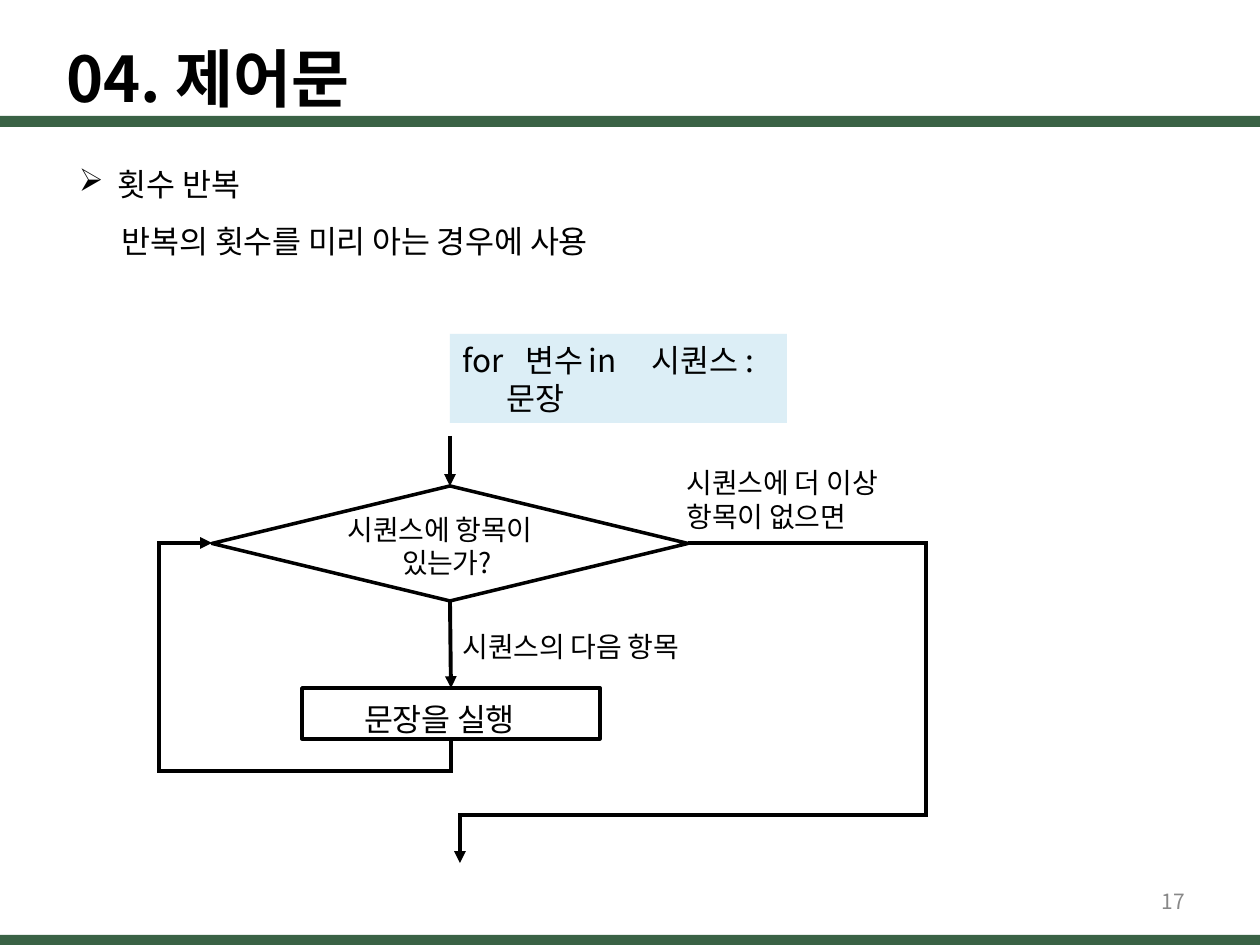
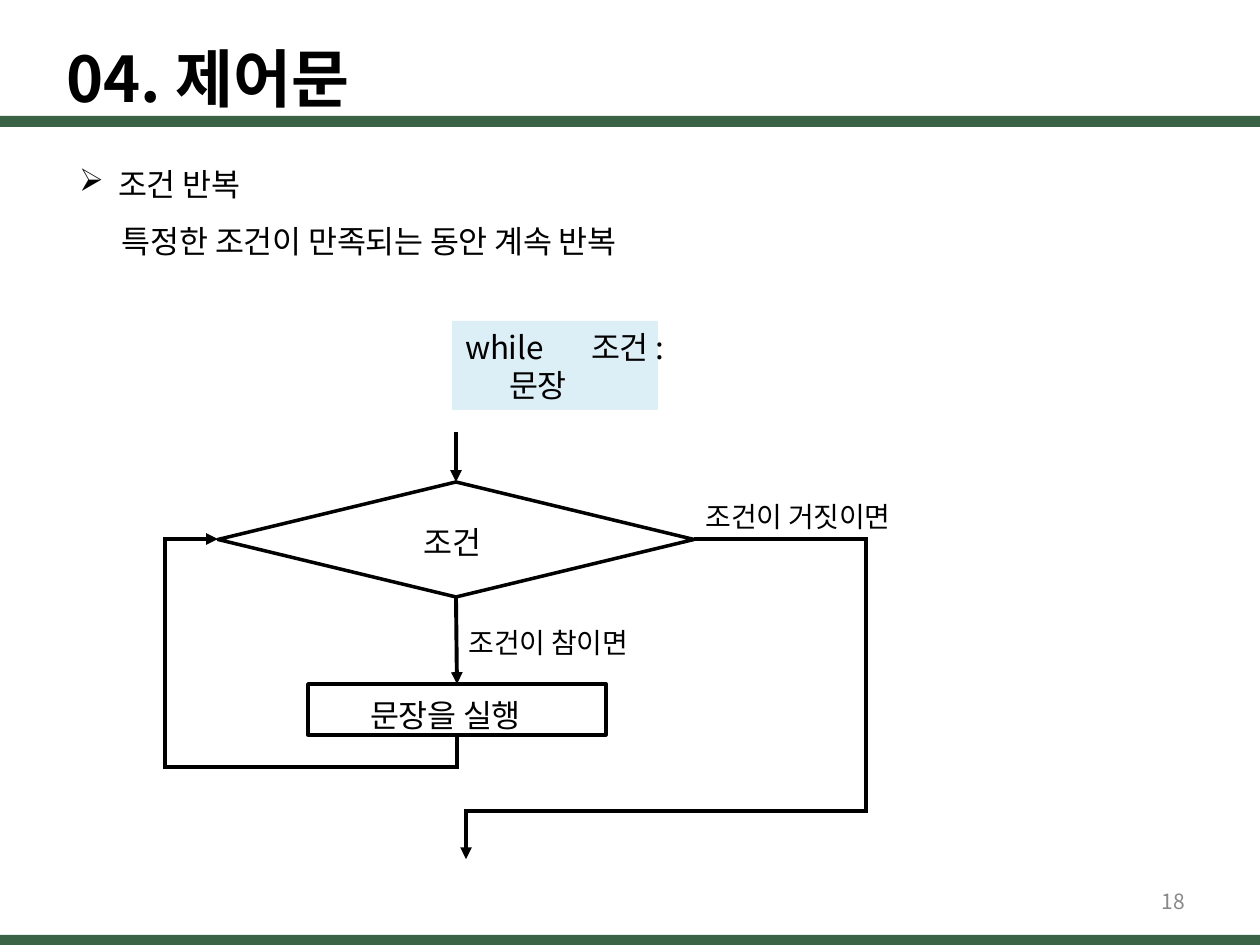
import pptx
import pptx.dml.color
import pptx.enum.shapes
import pptx.enum.text
import pptx.oxml.ns
import pptx.util
from lxml import etree

FONT = "Noto Sans CJK KR"
BLACK, GREEN, PALE_BLUE, GRAY = "000000", "3A6245", "DCEEF6", "888888"
SCALE = 914400 / 126
SLIDE_WIDTH, SLIDE_HEIGHT = 1260, 945
RECTANGLE = pptx.enum.shapes.MSO_SHAPE.RECTANGLE
DIAMOND = pptx.enum.shapes.MSO_SHAPE.DIAMOND


def px(length):
    """Turn px into EMU."""
    return pptx.util.Emu(round(length * SCALE))


def color(value):
    """Turn a hex string into a colour."""
    return pptx.dml.color.RGBColor.from_string(value)


def child(parent, tag, **attributes):
    """Append a drawing element with attributes to a parent."""
    element = etree.SubElement(parent, pptx.oxml.ns.qn(tag))
    for name, value in attributes.items():
        element.set(name, str(value))
    return element


def write(shape, lines, size, fill=BLACK, bold=False, inset=(0, 4)):
    """Write left-aligned lines from the top of a shape and return its paragraphs."""
    frame = shape.text_frame
    frame.word_wrap = True
    frame.auto_size = pptx.enum.text.MSO_AUTO_SIZE.NONE
    frame.vertical_anchor = pptx.enum.text.MSO_ANCHOR.TOP
    frame.margin_left, frame.margin_top = px(inset[0]), px(inset[1])
    frame.margin_right = frame.margin_bottom = 0
    frame.text = "\n".join(lines)
    for paragraph in frame.paragraphs:
        paragraph.alignment = pptx.enum.text.PP_ALIGN.LEFT
        paragraph.line_spacing = pptx.util.Pt(size * 1.2)
        paragraph.space_before = pptx.util.Pt(0)
        paragraph.font.name = FONT
        paragraph.font.size = pptx.util.Pt(size)
        paragraph.font.bold = bold
        paragraph.font.color.rgb = color(fill)
        child(paragraph._p.pPr.get_or_add_defRPr(), "a:ea", typeface=FONT)
        for run in paragraph.runs:
            run._r.get_or_add_rPr().set("spc", "-10")
    return frame.paragraphs


def indent(paragraph, left, first=0, bullet=None, tabs=()):
    """Set the indents, bullet and tab stops of a paragraph."""
    properties = paragraph._p.pPr
    properties.set("marL", str(px(left)))
    properties.set("indent", str(px(first)))
    font = properties.get_or_add_defRPr()
    if bullet:
        font.addprevious(child(properties, "a:buChar", char=bullet))
    if tabs:
        stops = child(properties, "a:tabLst")
        for tab in tabs:
            child(stops, "a:tab", pos=px(tab), algn="l")
        font.addprevious(stops)


def add_text(slide, box, lines, size, **options):
    """Add a text box and return its paragraphs."""
    shape = slide.shapes.add_textbox(*map(px, box))
    return write(shape, lines, size, **options)


def add_block(slide, kind, box, fill=None):
    """Add a filled shape, or an outlined one when no fill is given."""
    shape = slide.shapes.add_shape(kind, *map(px, box))
    shape.shadow.inherit = False
    if fill:
        shape.fill.solid()
        shape.fill.fore_color.rgb = color(fill)
        shape.line.fill.background()
    else:
        shape.fill.background()
        shape.line.color.rgb = color(BLACK)
        shape.line.width = pptx.util.Pt(2)
    return shape


def add_arrow(slide, points):
    """Add a straight connector or a bent path that ends in an arrowhead."""
    points = [(px(x), px(y)) for x, y in points]
    if len(points) == 2:
        arrow = slide.shapes.add_connector(
            pptx.enum.shapes.MSO_CONNECTOR.STRAIGHT, *points[0], *points[1])
    else:
        builder = slide.shapes.build_freeform(*points[0], scale=1.0)
        builder.add_line_segments(points[1:], close=False)
        arrow = builder.convert_to_shape()
        arrow.fill.background()
    arrow.line.color.rgb = color(BLACK)
    arrow.line.width = pptx.util.Pt(2.25)
    outline = arrow.line._get_or_add_ln()
    child(outline, "a:miter", lim=800000)
    child(outline, "a:tailEnd", type="triangle", w="med", len="med")
    child(arrow._element.spPr, "a:effectLst")


def add_frame(presentation, page):
    """Add a slide with its title, bands and page number."""
    slide = presentation.slides.add_slide(presentation.slide_layouts[5])
    title = slide.shapes.title
    title.left, title.top, title.width, title.height = map(px, (66, 29, 304, 79))
    write(title, ["04. 제어문"], 36, bold=True, inset=(1, 10))
    for top, height in ((116, 11), (935, 10)):
        add_block(slide, RECTANGLE, (0, top, SLIDE_WIDTH, height), GREEN)
    add_text(slide, (1158, 885, 40, 32), [str(page)], 12, fill=GRAY, inset=(4, 4))
    return slide


def add_intro(slide, box, heading, explanation):
    """Add the bulleted heading with its explanation."""
    first, second = add_text(slide, box, [heading, explanation], 18, inset=(0, 23))
    indent(first, 42, -39, bullet="➢")
    indent(second, 46)
    second.space_before = pptx.util.Pt(10.8)


def add_syntax(slide, box, statement, tabs):
    """Add the tinted box with the loop syntax."""
    shape = add_block(slide, RECTANGLE, box, PALE_BLUE)
    first, second = write(shape, [statement, "문장"], 18, inset=(0, 7))
    indent(first, 13, tabs=tabs)
    indent(second, 57)


def add_flowchart(slide, left, top, exit_reach, condition, branch, leave):
    """Add the loop flowchart with its diamond at the given corner."""
    def place(*points):
        return [(left + x, top + y) for x, y in points]

    def label(box, text, size=16):
        x, y, width, height = box
        return add_text(slide, (left + x, top + y, width, height), [text], size)[0]

    add_block(slide, DIAMOND, (left, top, 476, 115))
    action = add_block(slide, RECTANGLE, (left + 90, top + 202, 298, 51))
    write(action, ["문장을 실행"], 18, inset=(62, 12))

    add_arrow(slide, place((238, -50), (238, 0)))
    add_arrow(slide, place((238, 115), (239, 202)))
    add_arrow(slide, place((239, 253), (239, 285), (-53, 285), (-53, 57), (0, 57)))
    add_arrow(slide, place((476, 57), (exit_reach, 57), (exit_reach, 329),
                           (248, 329), (248, 377)))

    condition_box, condition_text, condition_size, hanging = condition
    paragraph = label(condition_box, condition_text, condition_size)
    indent(paragraph, hanging, -hanging)
    label((251, 140, 240, 36), branch)
    label(*leave)


def build_for_slide(presentation):
    """Build the slide on counted repetition."""
    slide = add_frame(presentation, 17)
    add_intro(slide, (76, 142, 577, 117), "횟수 반복", "반복의 횟수를 미리 아는 경우에 사용")
    add_syntax(slide, (450, 334, 337, 89), "for\t변수\tin\t시퀀스 :", (76, 160, 208))
    add_flowchart(slide, 212, 486, 714,
                  ((136, 22, 206, 71), "시퀀스에 항목이 있는가?", 16, 54),
                  "시퀀스의 다음 항목",
                  ((475, -24, 218, 71), "시퀀스에 더 이상 항목이 없으면"))


def build_while_slide(presentation):
    """Build the slide on conditional repetition."""
    slide = add_frame(presentation, 18)
    add_intro(slide, (76, 142, 609, 117), "조건 반복", "특정한 조건이 만족되는 동안 계속 반복")
    add_syntax(slide, (452, 321, 206, 89), "while\t조건 :", (108,))
    add_flowchart(slide, 218, 482, 648,
                  ((206, 37, 67, 42), "조건", 18, 0),
                  "조건이 참이면",
                  ((488, 14, 209, 37), "조건이 거짓이면"))


def main():
    """Build and save the presentation."""
    presentation = pptx.Presentation()
    presentation.slide_width = px(SLIDE_WIDTH)
    presentation.slide_height = px(SLIDE_HEIGHT)
    build_for_slide(presentation)
    build_while_slide(presentation)
    presentation.save("out.pptx")


if __name__ == "__main__":
    main()
